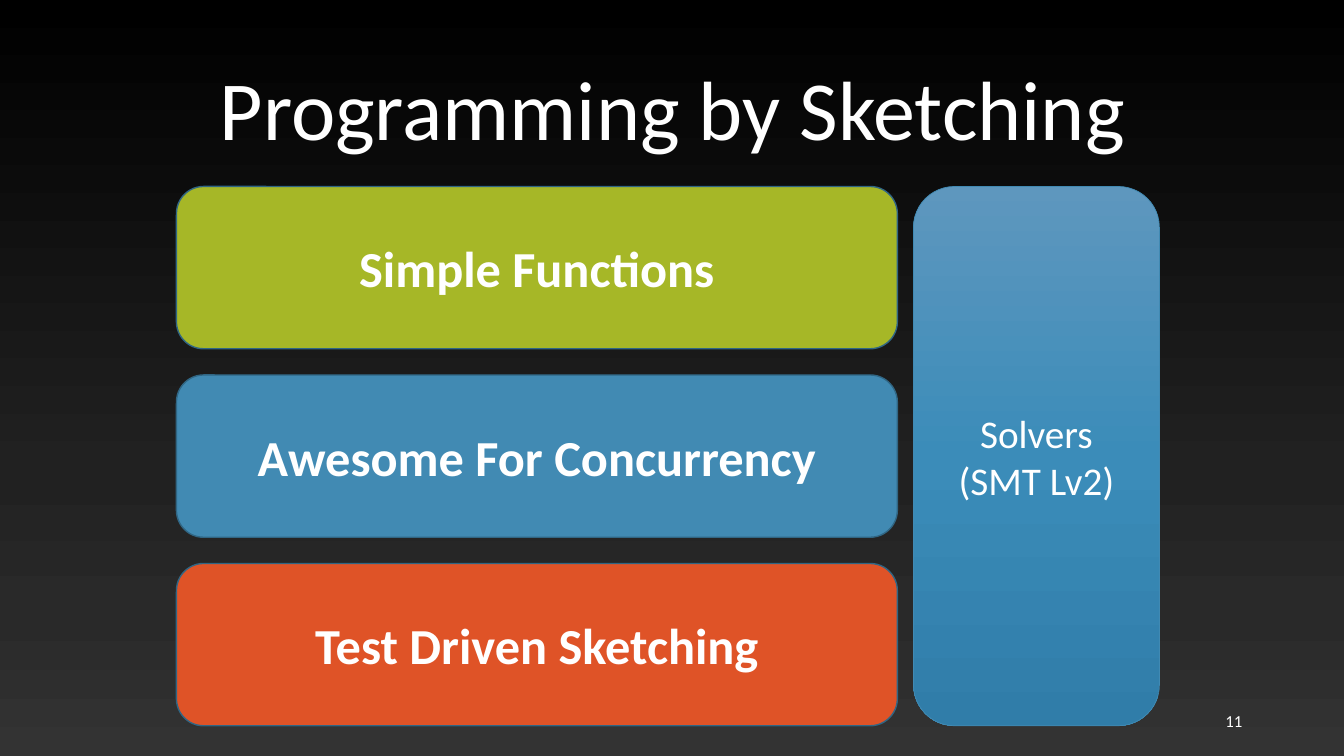
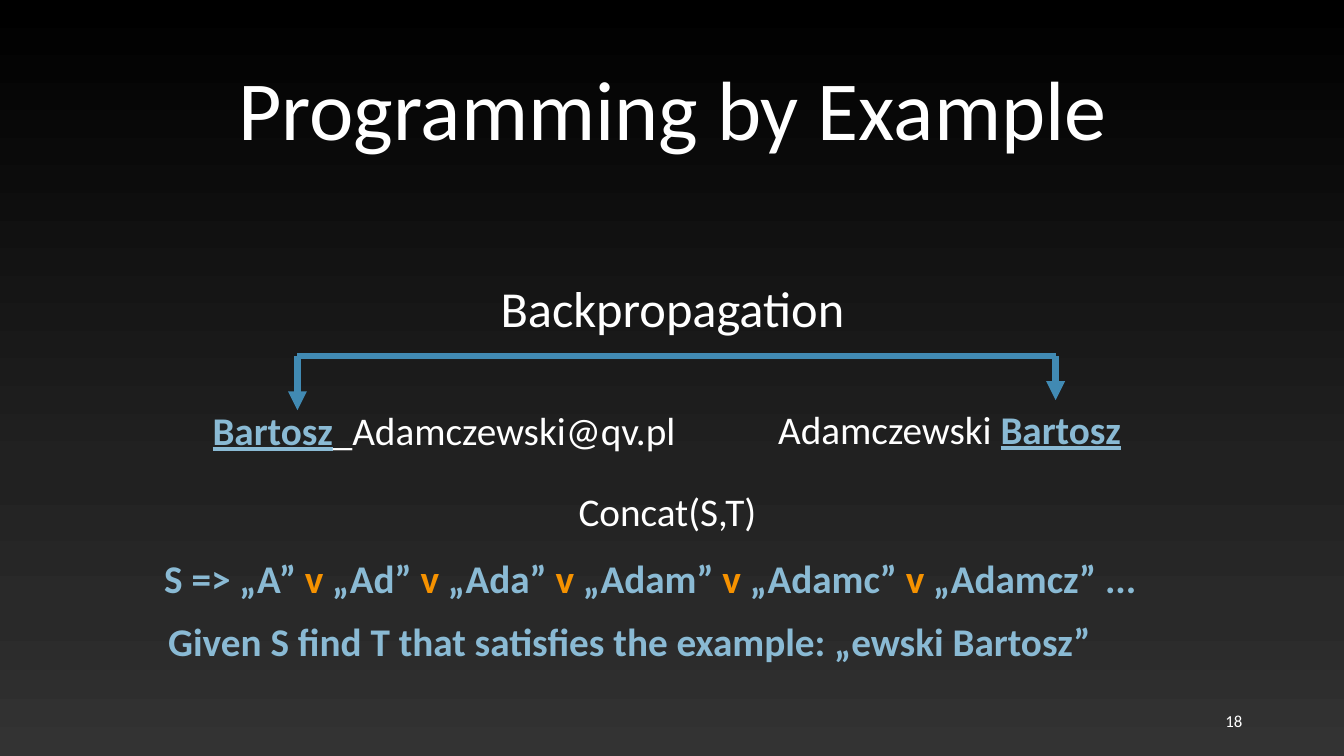
import pptx
import pptx.util
import pptx.dml.color
import pptx.enum.shapes
import pptx.enum.text
import pptx.oxml
import pptx.oxml.ns

RGBColor = pptx.dml.color.RGBColor
Pt = pptx.util.Pt
PP_ALIGN = pptx.enum.text.PP_ALIGN
ANCHOR = pptx.enum.text.MSO_ANCHOR
qn = pptx.oxml.ns.qn

WHITE = RGBColor(0xFF, 0xFF, 0xFF)
GREEN = RGBColor(0xA6, 0xB7, 0x27)
BLUE = RGBColor(0x41, 0x8A, 0xB3)
RED = RGBColor(0xDF, 0x53, 0x27)
DARK_BLUE = RGBColor(0x30, 0x66, 0x84)
LIGHT_BLUE = RGBColor(0x8A, 0xBA, 0xD4)
ORANGE = RGBColor(0xF6, 0x92, 0x00)
BACKDROP = [(0, RGBColor(0x33, 0x33, 0x33)), (19, RGBColor(0x29, 0x29, 0x29)),
            (38, RGBColor(0x21, 0x21, 0x21)), (100, RGBColor(0, 0, 0))]
SOLVER_BLUES = [(0, RGBColor(0x5E, 0x97, 0xBE)), (50, RGBColor(0x3B, 0x8C, 0xB9)),
                (100, RGBColor(0x30, 0x7D, 0xA9))]

FONT = "Calibri"
PX_PER_INCH = 100
EMU_PER_PX = 914400 // PX_PER_INCH


def px(*lengths):
    return [pptx.util.Emu(n * EMU_PER_PX) for n in lengths]


def set_gradient(fill, element, stops, angle):
    fill.gradient()
    fill.gradient_angle = angle
    gs_list = next(element.iter(qn("a:gsLst")))
    for gs in list(gs_list):
        gs_list.remove(gs)
    for percent, color in stops:
        gs_list.append(pptx.oxml.parse_xml(
            f'<a:gs {pptx.oxml.ns.nsdecls("a")} pos="{percent * 1000}">'
            f'<a:srgbClr val="{color}"/></a:gs>'))


def add_run(p, text, size, color=WHITE, bold=False, underline=False):
    r = p.add_run()
    r.text = text
    r.font.name = FONT
    r.font.size = Pt(size)
    r.font.color.rgb = color
    r.font.bold = bold
    r.font.underline = underline


def add_text(s, box, size, *runs, align=PP_ALIGN.LEFT, anchor=ANCHOR.TOP, wrap=False):
    tf = s.shapes.add_textbox(*px(*box)).text_frame
    tf.word_wrap = wrap
    tf.vertical_anchor = anchor
    p = tf.paragraphs[0]
    p.alignment = align
    for text, *style in runs:
        add_run(p, text, size, *style)
    return p


def add_block(s, box, text, size, line_color, line_width, bold=False):
    sp = s.shapes.add_shape(pptx.enum.shapes.MSO_SHAPE.ROUNDED_RECTANGLE, *px(*box))
    sp.shadow.inherit = False
    sp.line.color.rgb = line_color
    sp.line.width = Pt(line_width)
    tf = sp.text_frame
    tf.word_wrap = True
    tf.vertical_anchor = ANCHOR.MIDDLE
    p = tf.paragraphs[0]
    p.alignment = PP_ALIGN.CENTER
    add_run(p, text, size, WHITE, bold)
    return sp


def add_line(s, start, end, arrow=False):
    cxn = s.shapes.add_connector(
        pptx.enum.shapes.MSO_CONNECTOR.STRAIGHT, *px(*start, *end))
    cxn.line.color.rgb = BLUE
    cxn.line.width = Pt(4.5)
    if arrow:
        ln = cxn.line._get_or_add_ln()
        pptx.oxml.xmlchemy.OxmlElement
        ln.append(pptx.oxml.parse_xml(
            f'<a:tailEnd {pptx.oxml.ns.nsdecls("a")} type="triangle"/>'))
    cxn._element.spPr.append(pptx.oxml.parse_xml(
        f'<a:effectLst {pptx.oxml.ns.nsdecls("a")}/>'))


def add_slide(prs, title, number):
    s = prs.slides.add_slide(prs.slide_layouts[6])
    p = add_text(s, (92, 40, 1150, 145), 60, (title,),
                 align=PP_ALIGN.CENTER, anchor=ANCHOR.MIDDLE, wrap=True)
    p.line_spacing = 0.9
    add_text(s, (942, 695, 300, 40), 12, (number,),
             align=PP_ALIGN.RIGHT, anchor=ANCHOR.MIDDLE, wrap=True)
    return s


def build_sketching(prs):
    s = add_slide(prs, "Programming by Sketching", "11")
    top, height, pitch = 185, 161, 187
    blocks = [("Simple Functions", GREEN), ("Awesome For Concurrency", BLUE),
              ("Test Driven Sketching", RED)]
    for i, (text, color) in enumerate(blocks):
        sp = add_block(s, (175, top + i * pitch, 715, height), text, 36,
                       DARK_BLUE, 1, bold=True)
        sp.fill.solid()
        sp.fill.fore_color.rgb = color
    solvers = add_block(s, (906, top, 244, 2 * pitch + height),
                        "Solvers (SMT Lv2)", 28, BLUE, 0.5)
    set_gradient(solvers.fill, solvers._element, SOLVER_BLUES, 270)


def build_example(prs):
    s = add_slide(prs, "Programming by Example", "18")
    add_text(s, (92, 272, 1150, 66), 36, ("Backpropagation",),
             align=PP_ALIGN.CENTER, anchor=ANCHOR.MIDDLE, wrap=True)

    name = ("Bartosz", LIGHT_BLUE, True, True)
    add_text(s, (201, 398, 526, 57), 28, name, ("_Adamczewski@qv.pl",))
    add_text(s, (762, 397, 382, 57), 28, ("Adamczewski ",), name)

    left, right, bar = 295, 1047, 353
    add_line(s, (left, bar), (left, 407), arrow=True)
    add_line(s, (left, bar), (right, bar))
    add_line(s, (right, bar), (right, 397), arrow=True)

    add_text(s, (564, 479, 214, 57), 28, ("Concat(S,T)",))
    prefixes = ["S => „A” ", " „Ad” ", " „Ada” ", " „Adam” ", " „Adamc” ", " „Adamcz” ..."]
    runs = [("v", ORANGE, True) if i % 2 else (prefixes[i // 2], LIGHT_BLUE, True)
            for i in range(2 * len(prefixes) - 1)]
    add_text(s, (153, 545, 1027, 57), 28, *runs)
    add_text(s, (157, 608, 980, 57), 28,
             ("Given S find T that satisfies the example: „ewski Bartosz”", LIGHT_BLUE, True))


def main():
    prs = pptx.Presentation()
    prs.slide_width, prs.slide_height = px(1333, 750)
    master = prs.slide_master
    set_gradient(master.background.fill, master.element, BACKDROP, 90)
    build_sketching(prs)
    build_example(prs)
    prs.save("out.pptx")


if __name__ == "__main__":
    main()
